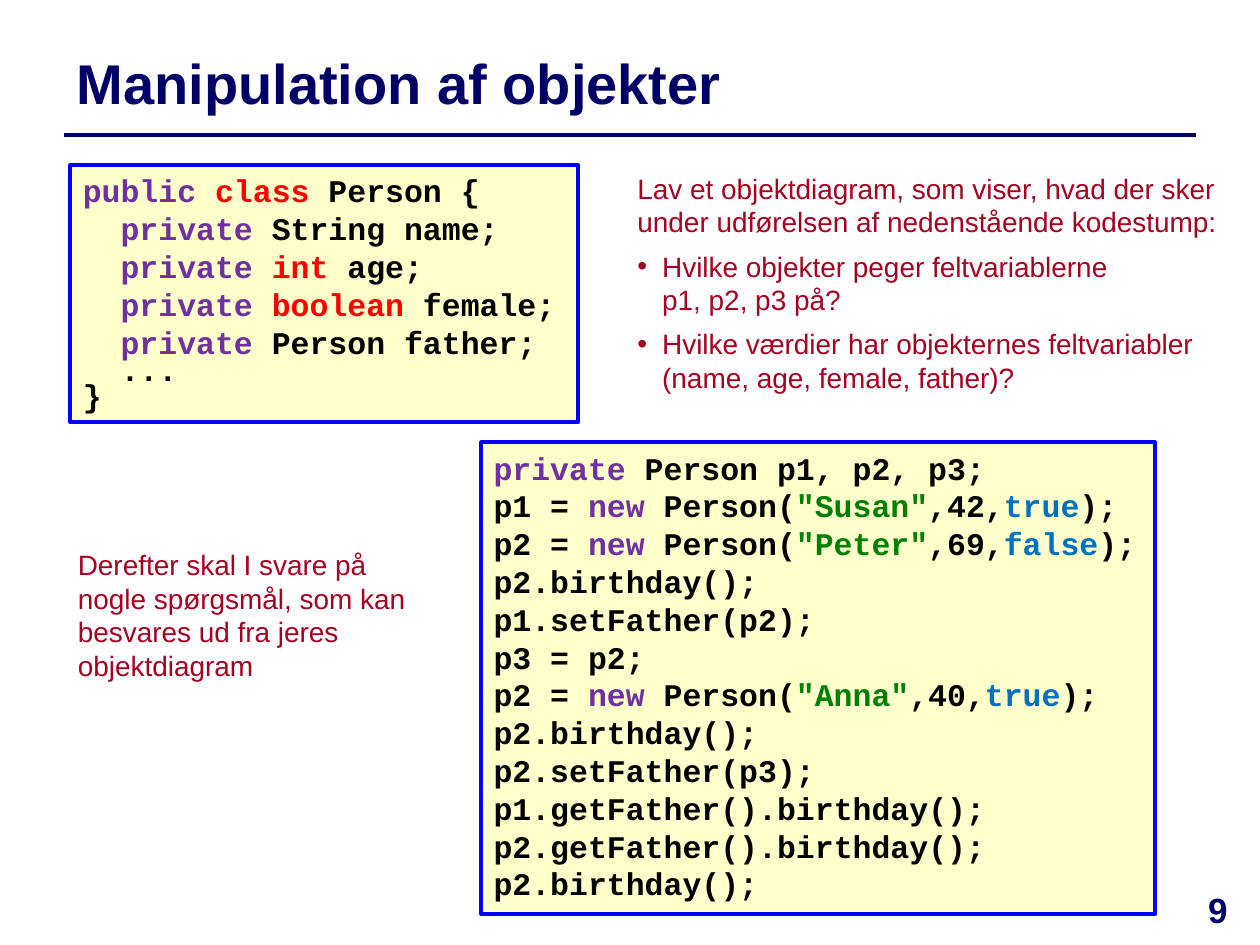
"""Build the slide on manipulating objects: a class, a code fragment and the task."""
from dataclasses import dataclass
from itertools import groupby

from lxml.etree import SubElement
from pptx import Presentation
from pptx.dml.color import RGBColor
from pptx.enum.shapes import MSO_CONNECTOR, MSO_SHAPE
from pptx.enum.text import MSO_ANCHOR, PP_ALIGN
from pptx.oxml.ns import qn
from pptx.slide import Slide
from pptx.util import Cm, Pt


@dataclass(frozen=True)
class Theme:
    text_font: str = "Arial"
    code_font: str = "Courier New"
    title_size: int = 32
    number_size: int = 20
    code_size: int = 18
    body_size: int = 16
    navy: str = "000066"
    crimson: str = "A50021"
    code_fill: str = "FFFFCC"
    code_border: str = "0000FF"
    plain: str = "000000"
    keyword: str = "7030A0"
    type_word: str = "FF0000"
    string: str = "008000"
    literal: str = "0070C0"


THEME = Theme()
WORD_COLOURS = {
    **dict.fromkeys(("public", "private", "new"), THEME.keyword),
    **dict.fromkeys(("class", "int", "boolean"), THEME.type_word),
    **dict.fromkeys(("true", "false"), THEME.literal),
}


@dataclass(frozen=True)
class Area:
    left: float
    top: float
    width: float
    height: float

    def lengths(self) -> tuple[Cm, Cm, Cm, Cm]:
        return Cm(self.left), Cm(self.top), Cm(self.width), Cm(self.height)


@dataclass(frozen=True)
class CodeBox:
    area: Area
    code: str
    tight_lines: int = 0


@dataclass(frozen=True)
class Note:
    area: Area
    lead: str
    size: int = THEME.body_size
    colour: str = THEME.crimson
    bold: bool = False
    align: PP_ALIGN = PP_ALIGN.LEFT
    anchor: MSO_ANCHOR = MSO_ANCHOR.TOP
    bullets: tuple[str, ...] = ()


PERSON_CLASS = """public class Person {
  private String name;
  private int age;
  private boolean female;
  private Person father;
  ...
}"""

FRAGMENT = """private Person p1, p2, p3;
p1 = new Person("Susan",42,true);
p2 = new Person("Peter",69,false);
p2.birthday();
p1.setFather(p2);
p3 = p2;
p2 = new Person("Anna",40,true);
p2.birthday();
p2.setFather(p3);
p1.getFather().birthday();
p2.getFather().birthday();
p2.birthday();"""

CODE_BOXES = (
    CodeBox(Area(1.42, 3.33, 10.24, 5.18), PERSON_CLASS, tight_lines=2),
    CodeBox(Area(9.7, 8.92, 13.59, 9.5), FRAGMENT),
)

NOTES = (
    Note(Area(1.3, 0.71, 22.8, 1.9), "Manipulation af objekter", THEME.title_size,
         THEME.navy, bold=True, anchor=MSO_ANCHOR.MIDDLE),
    Note(Area(12.6, 3.33, 12.5, 4.78),
         "Lav et objektdiagram, som viser, hvad der sker under udførelsen "
         "af nedenstående kodestump:",
         bullets=("Hvilke objekter peger feltvariablerne\vp1, p2, p3 på?",
                  "Hvilke værdier har objekternes feltvariabler "
                  "(name, age, female, father)?")),
    Note(Area(1.32, 10.92, 7.57, 3),
         "Derefter skal I svare på nogle spørgsmål, som kan besvares "
         "ud fra jeres objektdiagram"),
    Note(Area(23.7, 17.78, 1.7, 1.27), "9", THEME.number_size, THEME.navy,
         bold=True, align=PP_ALIGN.CENTER),
)


def style_font(font, name: str, size: int, colour: str, bold: bool) -> None:
    font.name, font.size, font.bold = name, Pt(size), bold
    font.color.rgb = RGBColor.from_string(colour)


def colour_tokens(line: str) -> list[tuple[str, str]]:
    """Split a code line into pieces of text, each with its colour."""
    tokens = []
    for position, section in enumerate(line.split('"')):
        if position % 2:
            tokens.append((f'"{section}"', THEME.string))
            continue
        for _, letters in groupby(section, str.isalnum):
            word = "".join(letters)
            tokens.append((word, WORD_COLOURS.get(word, THEME.plain)))
    return [("".join(text for text, _ in group), colour)
            for colour, group in groupby(tokens, lambda token: token[1])]


def draw_code(slide: Slide, box: CodeBox) -> None:
    panel = slide.shapes.add_shape(MSO_SHAPE.RECTANGLE, *box.area.lengths())
    panel.shadow.inherit = False
    panel.fill.solid()
    panel.fill.fore_color.rgb = RGBColor.from_string(THEME.code_fill)
    panel.line.color.rgb = RGBColor.from_string(THEME.code_border)
    panel.line.width = Pt(2.25)
    frame = panel.text_frame
    frame.word_wrap = True
    frame.vertical_anchor = MSO_ANCHOR.TOP
    lines = box.code.splitlines()
    for index, line in enumerate(lines):
        paragraph = frame.add_paragraph() if index else frame.paragraphs[0]
        paragraph.alignment = PP_ALIGN.LEFT
        if index >= len(lines) - box.tight_lines:
            paragraph.line_spacing = 0.7
        for text, colour in colour_tokens(line):
            run = paragraph.add_run()
            run.text = text
            style_font(run.font, THEME.code_font, THEME.code_size, colour, True)


def make_bullet(paragraph) -> None:
    paragraph.space_before = Pt(6)
    properties = paragraph._p.get_or_add_pPr()
    properties.set("marL", str(Cm(0.5)))
    properties.set("indent", str(-Cm(0.5)))
    SubElement(properties, qn("a:buFont"), typeface=THEME.text_font)
    SubElement(properties, qn("a:buChar"), char="•")


def draw_note(slide: Slide, note: Note) -> None:
    frame = slide.shapes.add_textbox(*note.area.lengths()).text_frame
    frame.word_wrap = True
    frame.vertical_anchor = note.anchor
    frame.text = note.lead
    for bullet in note.bullets:
        paragraph = frame.add_paragraph()
        paragraph.text = bullet
        make_bullet(paragraph)
    for paragraph in frame.paragraphs:
        paragraph.alignment = note.align
        for run in paragraph.runs:
            style_font(run.font, THEME.text_font, note.size, note.colour, note.bold)


def draw_title_rule(slide: Slide) -> None:
    rule = slide.shapes.add_connector(
        MSO_CONNECTOR.STRAIGHT, Cm(1.3), Cm(2.72), Cm(24.1), Cm(2.72))
    rule.line.color.rgb = RGBColor.from_string(THEME.navy)
    rule.line.width = Pt(2)
    SubElement(rule._element.spPr, qn("a:effectLst"))


def main() -> None:
    presentation = Presentation()
    presentation.slide_width, presentation.slide_height = Cm(25.4), Cm(19.05)
    slide = presentation.slides.add_slide(presentation.slide_layouts[6])
    draw_title_rule(slide)
    for box in CODE_BOXES:
        draw_code(slide, box)
    for note in NOTES:
        draw_note(slide, note)
    presentation.save("out.pptx")


if __name__ == "__main__":
    main()
